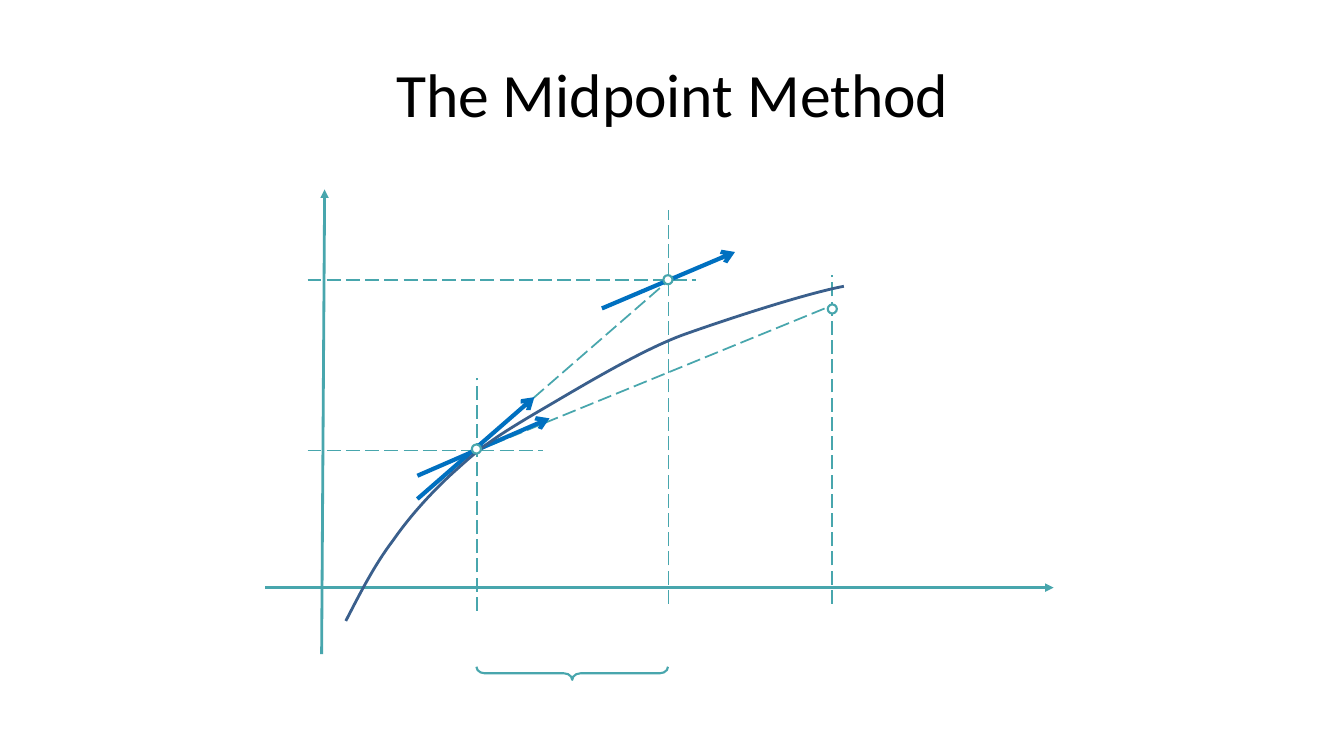
"""Build the slide that explains the midpoint method."""
from dataclasses import dataclass

from lxml.etree import SubElement
from pptx import Presentation
from pptx.dml.color import RGBColor
from pptx.enum.dml import MSO_LINE
from pptx.enum.shapes import MSO_CONNECTOR, MSO_SHAPE
from pptx.enum.text import MSO_ANCHOR, PP_ALIGN
from pptx.oxml.ns import qn
from pptx.util import Inches, Pt

TITLE = "The Midpoint Method"
GUIDES = [
    ((8.25, 5.99), (8.25, 2.73)),
    ((4.17, 4.7), (8.18, 3.06)),
    ((4.73, 6.06), (4.73, 3.75)),
    ((6.63, 5.99), (6.63, 2.08)),
    ((4.14, 4.95), (6.68, 2.74)),
    ((3.05, 4.47), (5.39, 4.47)),
    ((3.05, 2.78), (6.9, 2.78)),
]
SLOPES = [
    ((4.14, 4.72), (5.45, 4.15)),
    ((5.97, 3.06), (7.29, 2.5)),
    ((4.14, 4.95), (5.3, 3.94)),
]
AXES = [((2.63, 5.83), (10.45, 5.83)), ((3.19, 6.49), (3.22, 1.88))]
CURVE_START = (3.43, 6.16)
CURVE_CONTROLS = [
    (3.57, 5.89), (3.71, 5.61), (3.9, 5.36),
    (4.08, 5.1), (4.32, 4.84), (4.56, 4.63),
    (4.79, 4.42), (4.94, 4.32), (5.31, 4.1),
    (5.69, 3.88), (6.34, 3.48), (6.78, 3.32),
    (7.23, 3.16), (8, 2.91), (8.37, 2.84),
]
POINTS = [(4.68, 4.41), (6.58, 2.73), (8.21, 3.02)]
POINT_SIZE = 0.09
BRACE = (5.61, 5.73, 0.13, 1.9)


@dataclass(frozen=True)
class Theme:
    """Colours, font and sizes of the slide."""
    teal: str = "48A6AD"
    arrow: str = "0070C0"
    curve: str = "3A5F8C"
    paper: str = "FFFFFF"
    ink: str = "000000"
    font: str = "Calibri"
    title_size: float = 44
    guide_width: float = 1.25
    outline_width: float = 1.5
    axis_width: float = 2
    slope_width: float = 3


THEME = Theme()


def inches(*lengths):
    """Convert numbers to lengths in inches."""
    return [Inches(length) for length in lengths]


def write_text(box, text, *, size, color, font, align, anchor):
    """Write one formatted paragraph into a box."""
    box.text_frame.word_wrap = True
    box.text_frame.vertical_anchor = anchor
    para = box.text_frame.paragraphs[0]
    para.alignment = align
    span = para.add_run()
    span.text = text
    span.font.size = Pt(size)
    span.font.name = font
    span.font.color.rgb = RGBColor.from_string(color)


def style_line(line, color, width):
    """Set the colour and width of a line."""
    line.color.rgb = RGBColor.from_string(color)
    line.width = Pt(width)


def add_line(page, start, end, color, width, dash=None, head=None):
    """Draw a straight line with an optional dash and arrowhead."""
    connector = page.shapes.add_connector(
        MSO_CONNECTOR.STRAIGHT, *inches(*start, *end))
    style_line(connector.line, color, width)
    if dash:
        connector.line.dash_style = dash
    properties = connector._element.spPr
    if head:
        SubElement(properties.find(qn("a:ln")), qn("a:tailEnd"), type=head)
    SubElement(properties, qn("a:effectLst"))


def add_curve(page):
    """Draw the solution curve as a chain of cubic segments."""
    builder = page.shapes.build_freeform(*inches(*CURVE_START))
    builder.add_line_segments(
        [inches(*control) for control in CURVE_CONTROLS], close=False)
    curve = builder.convert_to_shape()
    outline = next(curve._element.iter(qn("a:path")))
    segments = outline.findall(qn("a:lnTo"))
    for first in range(0, len(segments), 3):
        cubic = SubElement(outline, qn("a:cubicBezTo"))
        for segment in segments[first:first + 3]:
            cubic.append(segment[0])
            outline.remove(segment)
    curve.fill.background()
    style_line(curve.line, THEME.curve, THEME.axis_width)
    curve.shadow.inherit = False


def add_outline(page, kind, bounds, fill=None):
    """Add a teal outlined shape."""
    shape = page.shapes.add_shape(kind, *inches(*bounds))
    shape.shadow.inherit = False
    if fill:
        shape.fill.solid()
        shape.fill.fore_color.rgb = RGBColor.from_string(fill)
    else:
        shape.fill.background()
    style_line(shape.line, THEME.teal, THEME.outline_width)
    return shape


def main():
    """Assemble and save the deck."""
    deck = Presentation()
    deck.slide_width, deck.slide_height = inches(13.33, 7.5)
    page = deck.slides.add_slide(deck.slide_layouts[5])
    title = page.shapes.title
    title.left, title.top, title.width, title.height = inches(0.67, 0.3, 12, 1.25)
    write_text(title, TITLE, size=THEME.title_size, color=THEME.ink,
               font=THEME.font, align=PP_ALIGN.CENTER, anchor=MSO_ANCHOR.MIDDLE)
    for start, end in GUIDES:
        add_line(page, start, end, THEME.teal, THEME.guide_width,
                 dash=MSO_LINE.LONG_DASH)
    for start, end in SLOPES:
        add_line(page, start, end, THEME.arrow, THEME.slope_width, head="arrow")
    for start, end in AXES:
        add_line(page, start, end, THEME.teal, THEME.axis_width, head="triangle")
    add_curve(page)
    for left, top in POINTS:
        add_outline(page, MSO_SHAPE.OVAL, (left, top, POINT_SIZE, POINT_SIZE),
                    fill=THEME.paper)
    brace = add_outline(page, MSO_SHAPE.RIGHT_BRACE, BRACE)
    brace.adjustments[0] = 0.63
    brace.rotation = 90
    deck.save("out.pptx")


if __name__ == "__main__":
    main()
